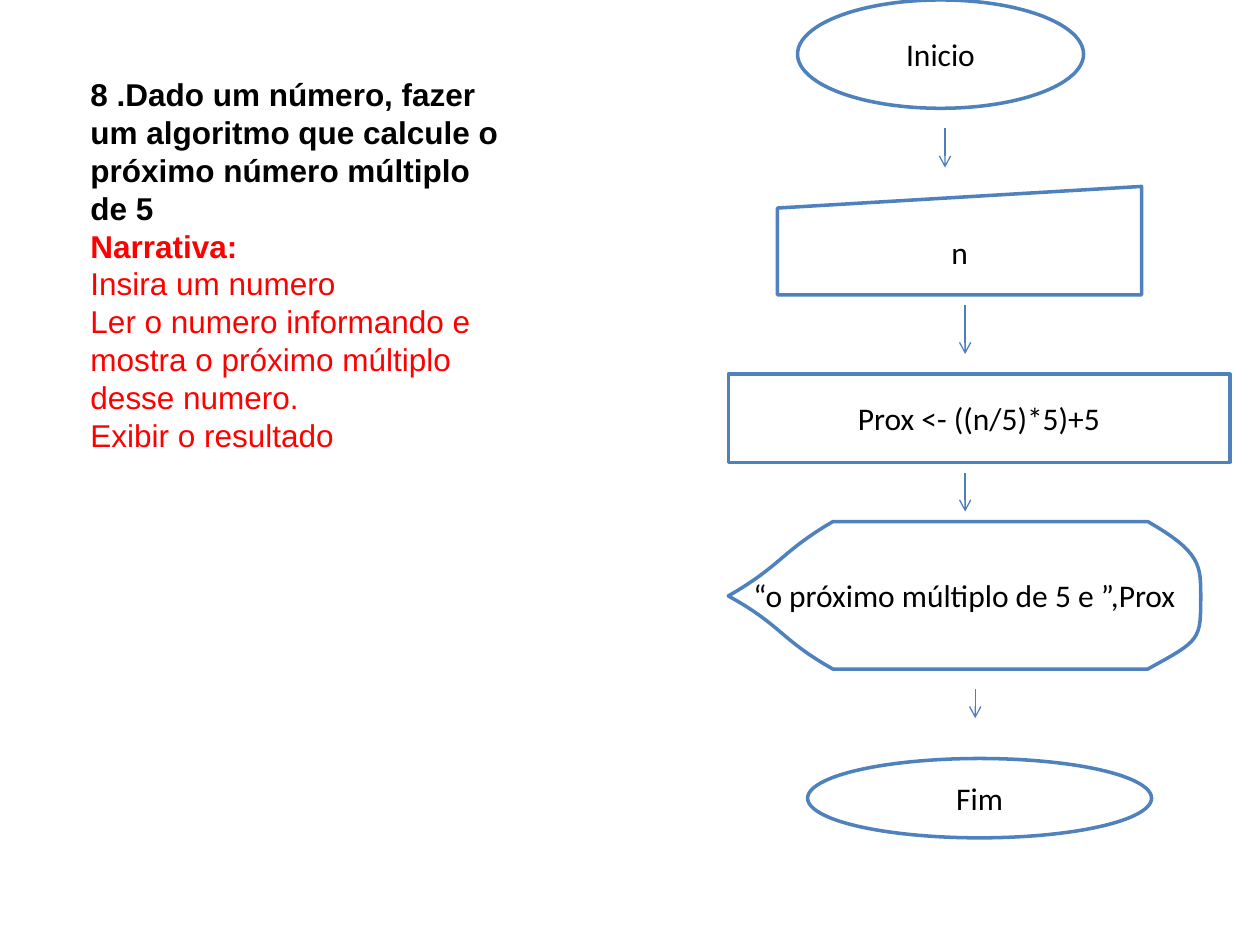
from lxml import etree
from pptx import Presentation
from pptx import util as u
from pptx.dml.color import RGBColor
from pptx.enum import shapes, text
from pptx.oxml.ns import qn

THEME = {
    "ink": "000000", "red": "FF0000", "paper": "FFFFFF",
    "edge": "4F81BD", "arrow": "4B7EBC",
    "prose": "Arial", "label": "Calibri",
    "size": 18, "thick": 2, "thin": 0.75,
}

PROSE = [
    ("8 .Dado um número, fazer um algoritmo que calcule o próximo número múltiplo de 5", "ink", True),
    ("Narrativa:", "red", True),
    ("Insira um numero", "red", False),
    ("Ler o numero informando e mostra o próximo múltiplo desse numero.", "red", False),
    ("Exibir o resultado", "red", False),
]
KIND = shapes.MSO_SHAPE
STEPS = [
    ("Inicio", KIND.OVAL, (6.33, 0, 2.27, 0.86)),
    ("n", KIND.FLOWCHART_MANUAL_INPUT, (6.17, 1.48, 2.89, 0.86)),
    ("Prox <- ((n/5)*5)+5", KIND.FLOWCHART_PROCESS, (5.78, 2.97, 3.98, 0.7)),
    ("Fim", KIND.OVAL, (6.41, 6.02, 2.73, 0.63)),
]
SHOW = "“o próximo múltiplo de 5 e ”,Prox"
START = (5.78, 4.73)
CURVES = [
    [(6.2, 4.49), (6.2, 4.38), (6.61, 4.14)],
    [(9.11, 4.14)],
    [(9.53, 4.38), (9.53, 4.49), (9.53, 4.73)],
    [(9.53, 5.08), (9.53, 5.08), (9.11, 5.31)],
    [(6.61, 5.31)],
    [(6.2, 5.08), (6.2, 4.96), START],
]
ARROWS = [(7.5, 1.02, 1.33), (7.66, 2.42, 2.81), (7.66, 3.75, 4.06), (7.74, 5.47, 5.7)]


def color(name):
    return RGBColor.from_string(THEME[name])


def style(para, face, tint, bold=False):
    font = para.font
    font.name, font.size, font.bold = THEME[face], u.Pt(THEME["size"]), bold
    font.color.rgb = color(tint)


def dress(shape, label):
    shape.shadow.inherit = False
    shape.fill.solid()
    shape.fill.fore_color.rgb = color("paper")
    shape.line.color.rgb = color("edge")
    shape.line.width = u.Pt(THEME["thick"])
    frame = shape.text_frame
    frame.word_wrap = True
    frame.vertical_anchor = text.MSO_ANCHOR.MIDDLE
    para = frame.paragraphs[0]
    para.text, para.alignment = label, text.PP_ALIGN.CENTER
    style(para, "label", "ink")


def bend(ends, count=16):
    for step in range(1, count + 1):
        t = step / count
        parts = ((1 - t) ** 3, 3 * t * (1 - t) ** 2, 3 * t * t * (1 - t), t ** 3)
        yield tuple(sum(k * p[axis] for k, p in zip(parts, ends)) for axis in (0, 1))


def outline():
    last = START
    for curve in CURVES:
        yield from bend([last, *curve]) if len(curve) == 3 else curve
        last = curve[-1]


def main():
    deck = Presentation()
    deck.slide_width, deck.slide_height = u.Inches(10), u.Inches(7.5)
    slide = deck.slides.add_slide(deck.slide_layouts[6])
    items = slide.shapes

    frame = items.add_textbox(*map(u.Inches, (0.62, 0.55, 3.44, 3.13))).text_frame
    frame.word_wrap = True
    frame.auto_size = text.MSO_AUTO_SIZE.SHAPE_TO_FIT_TEXT
    for row, (words, tint, bold) in enumerate(PROSE):
        para = frame.add_paragraph() if row else frame.paragraphs[0]
        para.text = words
        style(para, "prose", tint, bold)

    for label, kind, box in STEPS:
        dress(items.add_shape(kind, *map(u.Inches, box)), label)

    pen = items.build_freeform(*map(u.Inches, START))
    pen.add_line_segments([tuple(map(u.Inches, point)) for point in outline()])
    dress(pen.convert_to_shape(), SHOW)

    for x, top, end in ARROWS:
        arrow = items.add_connector(shapes.MSO_CONNECTOR.STRAIGHT, *map(u.Inches, (x, top, x, end)))
        arrow.line.color.rgb = color("arrow")
        arrow.line.width = u.Pt(THEME["thin"])
        etree.SubElement(arrow.line._get_or_add_ln(), qn("a:tailEnd"), type="arrow")
        etree.SubElement(arrow._element.spPr, qn("a:effectLst"))

    deck.save("out.pptx")


if __name__ == "__main__":
    main()
